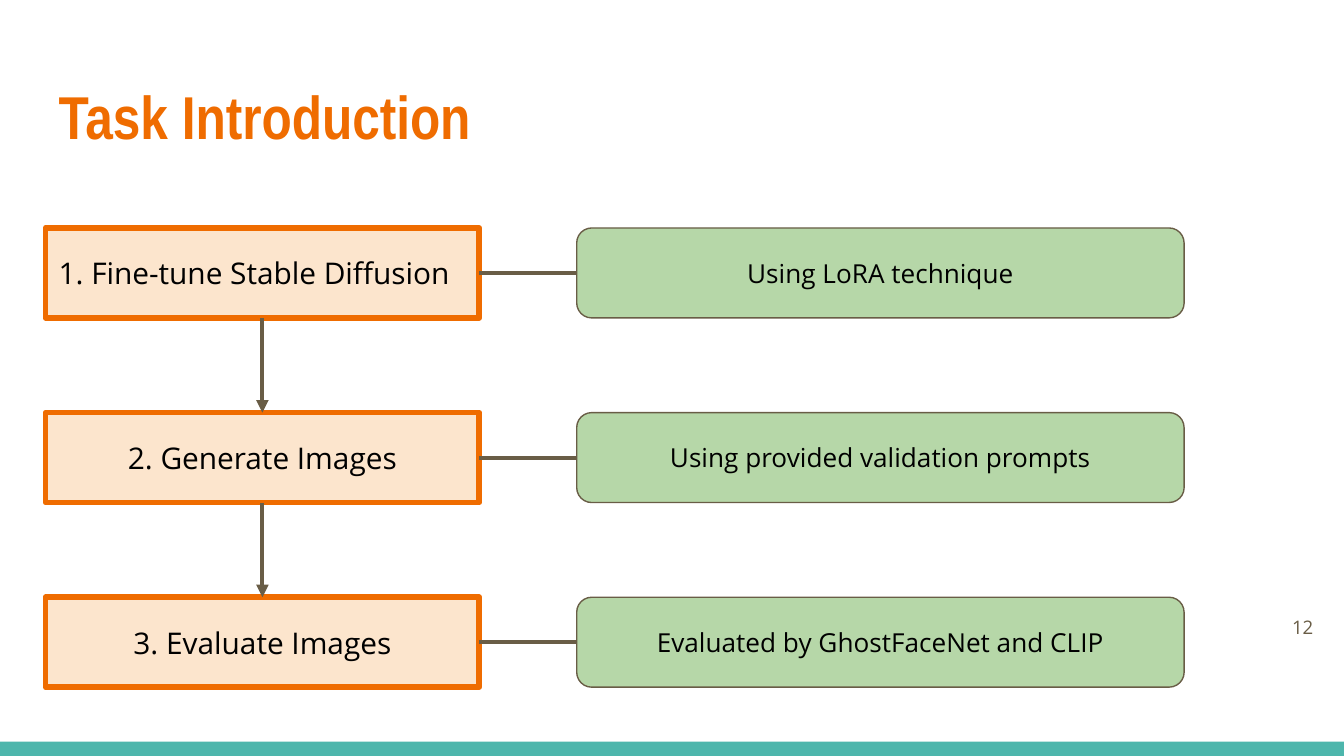
from pptx import Presentation
from pptx.dml.color import RGBColor
from pptx.enum.shapes import MSO_CONNECTOR, MSO_SHAPE
from pptx.enum.text import MSO_ANCHOR, PP_ALIGN
from pptx.oxml.ns import qn
from pptx.util import Cm, Pt
from lxml import etree

ORANGE = RGBColor(0xEF, 0x6C, 0x00)
PEACH = RGBColor(0xFC, 0xE5, 0xCD)
GREEN = RGBColor(0xB6, 0xD7, 0xA8)
BROWN = RGBColor(0x69, 0x5D, 0x46)
TEAL = RGBColor(0x4D, 0xB6, 0xAC)
BLACK = RGBColor(0x00, 0x00, 0x00)

TITLE_FONT = {"name": "Arial Narrow", "size": Pt(32.4), "bold": True}
STEP_FONT = {"name": "Open Sans", "size": Pt(16)}
DETAIL_FONT = {"name": "Open Sans", "size": Pt(14)}
NUMBER_FONT = {"name": "Open Sans", "size": Pt(10)}

STEPS = [
    ("1. Fine-tune Stable Diffusion", PP_ALIGN.LEFT, "Using LoRA technique"),
    ("2. Generate Images", PP_ALIGN.CENTER, "Using provided validation prompts"),
    ("3. Evaluate Images", PP_ALIGN.CENTER, "Evaluated by GhostFaceNet and CLIP"),
]
STEP_LEFT, STEP_WIDTH = 0.86, 8.2
DETAIL_LEFT, DETAIL_WIDTH = 10.9, 11.48
ROW_TOP, ROW_PITCH, ROW_HEIGHT = 4.31, 3.49, 1.7


def set_text(sp, text, font, color, align, anchor=MSO_ANCHOR.MIDDLE):
    tf = sp.text_frame
    frame = {"word_wrap": True, "vertical_anchor": anchor}
    for side in ("left", "right", "top", "bottom"):
        frame[f"margin_{side}"] = Cm(0.25)
    for name, value in frame.items():
        setattr(tf, name, value)
    p = tf.paragraphs[0]
    p.alignment = align
    r = p.add_run()
    r.text = text
    for name, value in font.items():
        setattr(r.font, name, value)
    r.font.color.rgb = color


def add_label(s, box, *text_format):
    sp = s.shapes.add_textbox(*map(Cm, box))
    set_text(sp, *text_format)


def add_box(s, kind, box, fill, line=None, width=0):
    sp = s.shapes.add_shape(kind, *map(Cm, box))
    sp.shadow.inherit = False
    sp.fill.solid()
    sp.fill.fore_color.rgb = fill
    if line is None:
        sp.line.fill.background()
    else:
        sp.line.color.rgb = line
        sp.line.width = Pt(width)
    return sp


def join(s, start, start_site, end, end_site, arrow=False):
    c = s.shapes.add_connector(MSO_CONNECTOR.STRAIGHT, 0, 0, 0, 0)
    c.begin_connect(start, start_site)
    c.end_connect(end, end_site)
    c.line.color.rgb = BROWN
    c.line.width = Pt(2.25)
    if arrow:
        ln = c.line._get_or_add_ln()
        etree.SubElement(ln, qn("a:tailEnd"), type="triangle")
    etree.SubElement(c._element.spPr, qn("a:effectLst"))


def add_row(s, top, step_text, align, detail_text):
    """Add a step box joined to its detail box; return the step box."""
    step = add_box(s, MSO_SHAPE.RECTANGLE,
                   (STEP_LEFT, top, STEP_WIDTH, ROW_HEIGHT), PEACH, ORANGE, 3)
    set_text(step, step_text, STEP_FONT, BLACK, align)
    detail = add_box(s, MSO_SHAPE.ROUNDED_RECTANGLE,
                     (DETAIL_LEFT, top, DETAIL_WIDTH, ROW_HEIGHT), GREEN, BROWN, 0.75)
    set_text(detail, detail_text, DETAIL_FONT, BLACK, PP_ALIGN.CENTER)
    join(s, step, 3, detail, 1)
    return step


def main():
    prs = Presentation()
    prs.slide_width, prs.slide_height = Cm(25.4), Cm(14.29)
    s = prs.slides.add_slide(prs.slide_layouts[6])

    add_box(s, MSO_SHAPE.RECTANGLE, (0, 14.02, 25.4, 0.27), TEAL)
    add_label(s, (0.86, 1.24, 23.67, 1.96), "Task Introduction",
              TITLE_FONT, ORANGE, PP_ALIGN.LEFT, MSO_ANCHOR.TOP)

    steps = [add_row(s, ROW_TOP + i * ROW_PITCH, *row)
             for i, row in enumerate(STEPS)]
    for upper, lower in zip(steps, steps[1:]):
        join(s, upper, 2, lower, 0, arrow=True)

    add_label(s, (23.55, 11.3, 1.52, 1.09), "12",
              NUMBER_FONT, BROWN, PP_ALIGN.RIGHT)
    prs.save("out.pptx")


if __name__ == "__main__":
    main()
